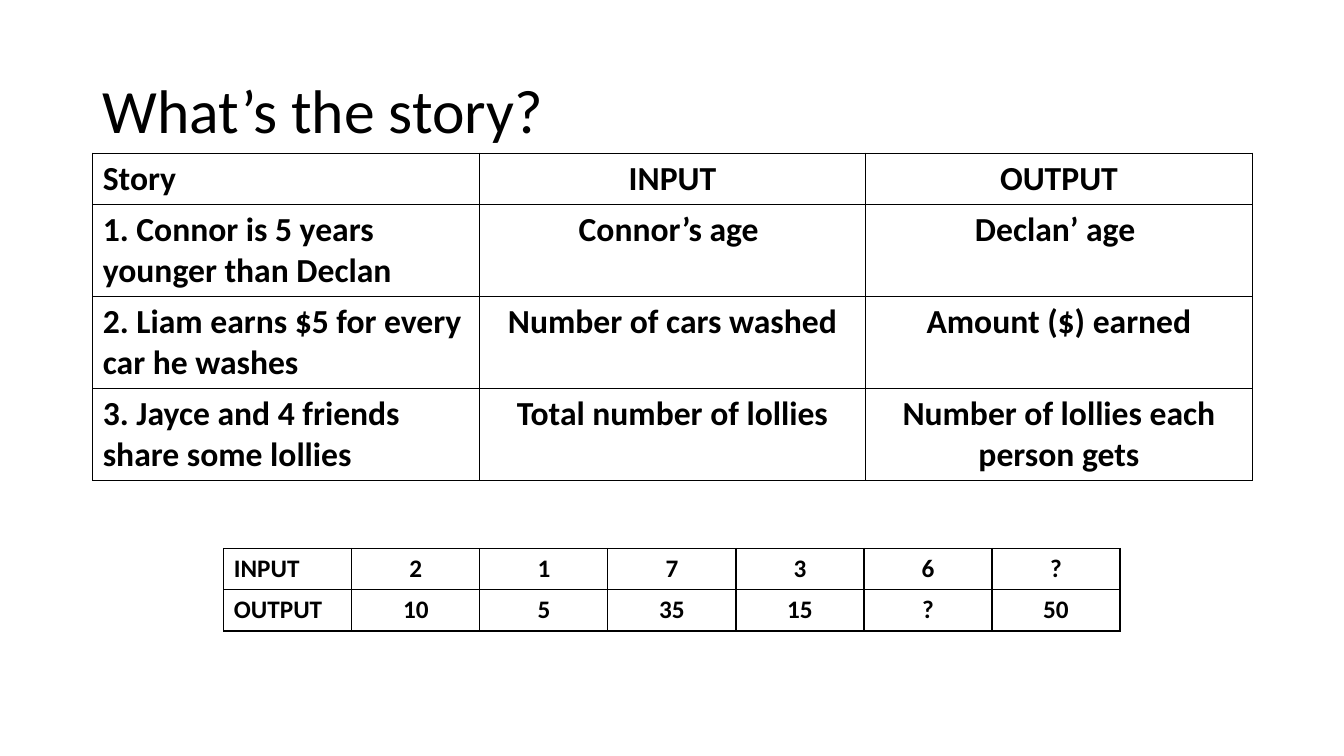
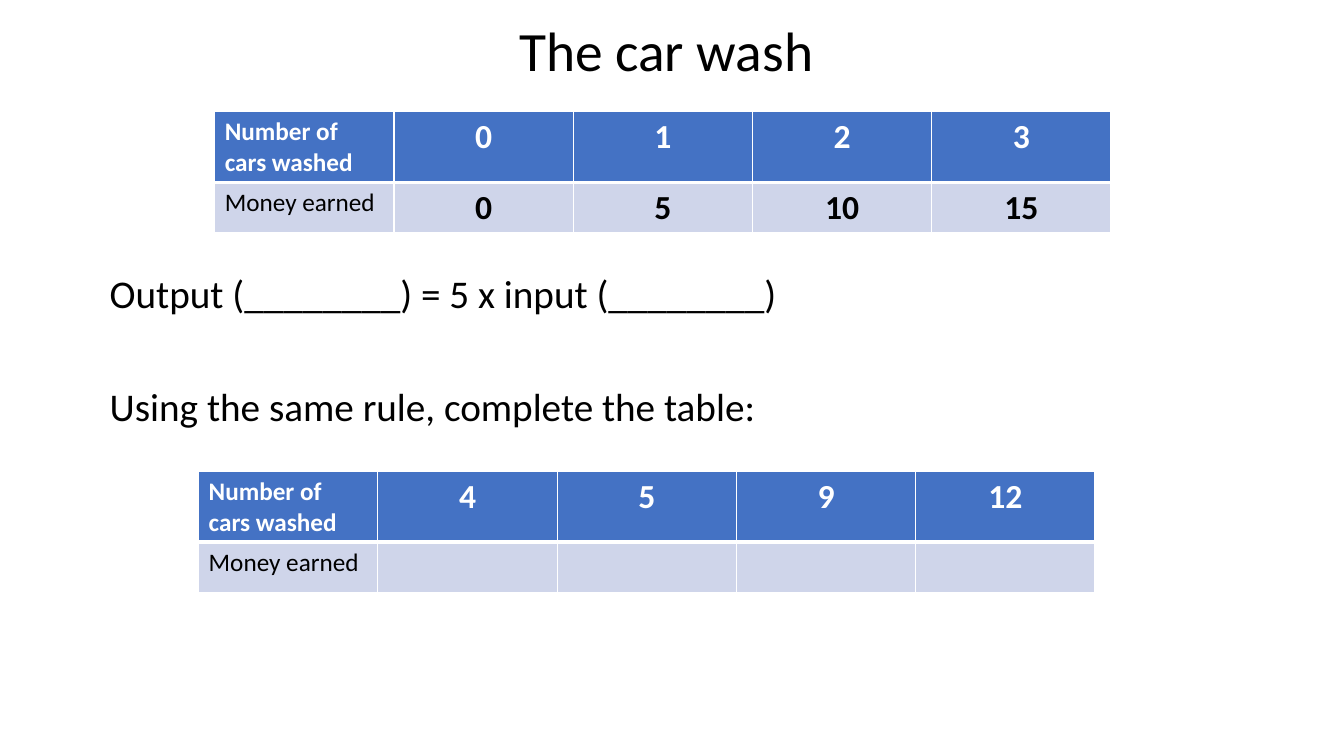
from lxml import etree
from pptx import Presentation
from pptx.dml.color import RGBColor
from pptx.enum.text import MSO_ANCHOR, MSO_AUTO_SIZE, PP_ALIGN
from pptx.oxml.ns import qn
from pptx.util import Inches, Pt

FONT = "Calibri"
COLORS = {"black": "000000", "white": "FFFFFF", "header": "4472C4", "row": "CFD5EA"}
TITLE_ONLY = 5


def rgb(name):
    return RGBColor.from_string(COLORS[name])


def format_paragraph(paragraph, size, color="black", bold=False, align=PP_ALIGN.LEFT):
    paragraph.alignment = align
    for run in paragraph.runs:
        run.font.name = FONT
        run.font.size = Pt(size)
        run.font.bold = bold
        run.font.color.rgb = rgb(color)


def add_titled_slide(prs, title, top, height, size, align):
    slide = prs.slides.add_slide(prs.slide_layouts[TITLE_ONLY])
    heading = slide.shapes.title
    heading.left, heading.top = Inches(0.92), Inches(top)
    heading.width, heading.height = Inches(11.5), Inches(height)
    frame = heading.text_frame
    frame.text = title
    frame.auto_size = MSO_AUTO_SIZE.NONE
    frame.vertical_anchor = MSO_ANCHOR.MIDDLE
    frame.paragraphs[0].line_spacing = 0.9
    format_paragraph(frame.paragraphs[0], size, align=align)
    return slide


def add_lines(slide, lines, left, top, width, height, size, gap):
    frame = slide.shapes.add_textbox(
        Inches(left), Inches(top), Inches(width), Inches(height)).text_frame
    frame.word_wrap = True
    frame.text = "\n".join(lines)
    for index, paragraph in enumerate(frame.paragraphs):
        paragraph.line_spacing = 0.9
        if index:
            paragraph.space_before = Pt(gap)
        format_paragraph(paragraph, size)


def set_borders(cell, color, top=1, bottom=1):
    """Draw the four cell borders; widths are in points."""
    properties = cell._tc.get_or_add_tcPr()
    for side, width in (("L", 1), ("R", 1), ("T", top), ("B", bottom)):
        line = etree.SubElement(properties, qn(f"a:ln{side}"), w=str(Pt(width)))
        fill = etree.SubElement(line, qn("a:solidFill"))
        etree.SubElement(fill, qn("a:srgbClr"), val=COLORS[color])


def add_grid(slide, rows, left, top, width, heights, style_cell):
    """Add a table of equal columns; style_cell(cell, row, column) formats each cell."""
    table = slide.shapes.add_table(
        len(rows), len(rows[0]), Inches(left), Inches(top),
        Inches(width), Inches(sum(heights))).table
    table.first_row = table.horz_banding = False
    for r, (values, height) in enumerate(zip(rows, heights)):
        table.rows[r].height = Inches(height)
        for c, value in enumerate(values):
            cell = table.cell(r, c)
            cell.text = value
            style_cell(cell, r, c)


def column_align(column):
    return PP_ALIGN.CENTER if column else PP_ALIGN.LEFT


def add_plain_table(slide, rows, left, top, width, heights, size):
    def style_cell(cell, row, column):
        set_borders(cell, "black")
        cell.fill.background()
        format_paragraph(cell.text_frame.paragraphs[0], size, bold=True,
                         align=column_align(column))

    add_grid(slide, rows, left, top, width, heights, style_cell)


def add_car_wash_table(slide, cars, money, left, top):
    def style_cell(cell, row, column):
        header = row == 0
        set_borders(cell, "white", top=1 if header else 3, bottom=3 if header else 1)
        cell.fill.solid()
        cell.fill.fore_color.rgb = rgb("header" if header else "row")
        format_paragraph(cell.text_frame.paragraphs[0], 24 if column else 18,
                         color="white" if header else "black",
                         bold=header or column > 0, align=column_align(column))

    rows = [["Number of cars washed", *cars], ["Money earned", *money]]
    add_grid(slide, rows, left, top, 8.89, [0.7, 0.5], style_cell)


def build_story_slide(prs):
    slide = add_titled_slide(prs, "What’s the story?", 0.4, 1.45, 44, PP_ALIGN.LEFT)
    stories = [
        ["Story", "INPUT", "OUTPUT"],
        ["1. Connor is 5 years younger than Declan", "Connor’s age ", "Declan’ age "],
        ["2. Liam earns $5 for every car he washes", "Number of cars washed",
         "Amount ($) earned"],
        ["3. Jayce and 4 friends share some lollies", "Total number of lollies",
         "Number of lollies each person gets"],
    ]
    add_plain_table(slide, stories, 0.92, 1.52, 11.5, [0.5] + [0.91] * 3, 24)
    values = [
        ["INPUT", "2", "1", "7", "3", "6", "?"],
        ["OUTPUT", "10", "5", "35", "15", "?", "50"],
    ]
    add_plain_table(slide, values, 2.22, 5.44, 8.89, [0.41] * 2, 18)


def build_car_wash_slide(prs):
    slide = add_titled_slide(prs, "The car wash ", 0.18, 0.7, 39.6, PP_ALIGN.CENTER)
    add_lines(slide, ["Output (________) = 5 x input (________)",
                      "Using the same rule, complete the table:"],
              0.99, 2.68, 11.5, 1.99, size=28, gap=50)
    # Worked example, then the table to complete
    add_car_wash_table(slide, ["0", "1", "2", "3"], ["0", "5", "10", "15"], 2.13, 1.11)
    add_car_wash_table(slide, ["4", "5", "9", "12"], [""] * 4, 1.97, 4.68)


def main():
    prs = Presentation()
    prs.slide_width, prs.slide_height = Inches(13.33), Inches(7.5)
    build_story_slide(prs)
    build_car_wash_slide(prs)
    prs.save("out.pptx")


if __name__ == "__main__":
    main()
